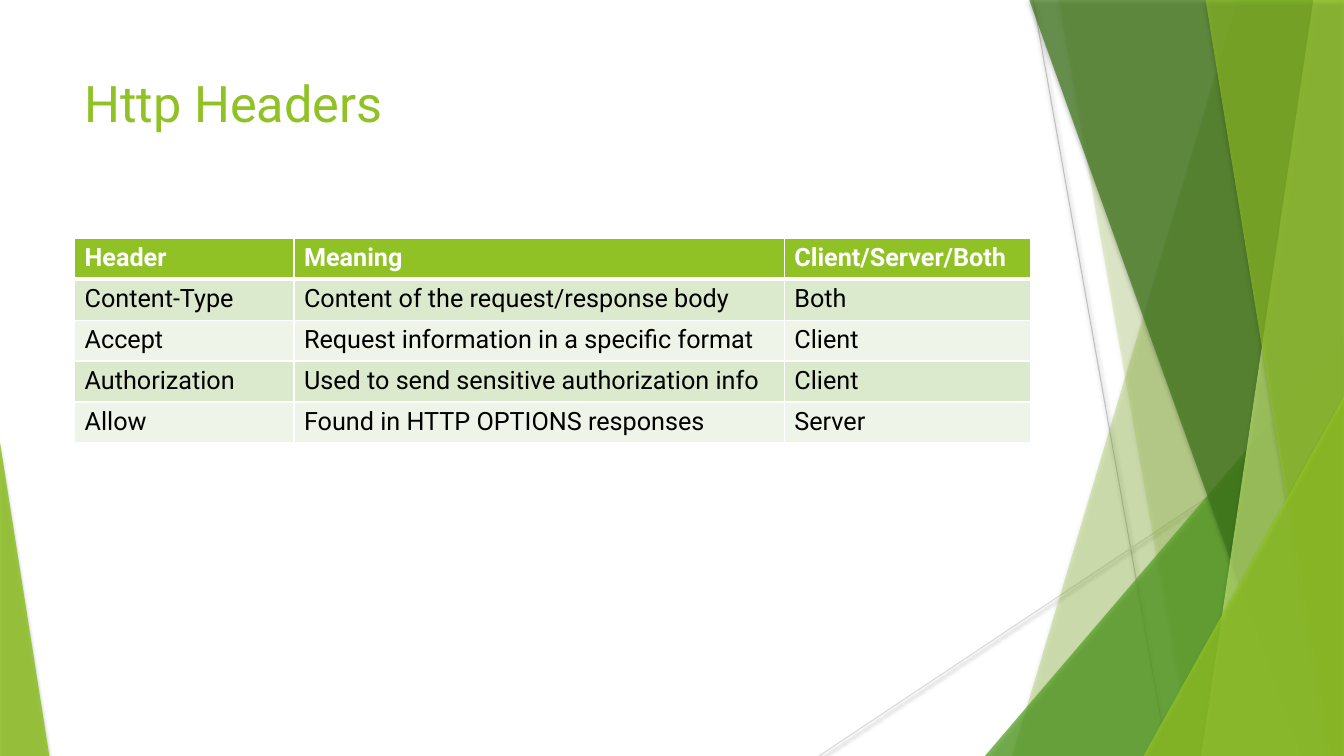
from lxml.etree import SubElement
from pptx import Presentation
from pptx.dml.color import RGBColor
from pptx.enum.shapes import MSO_CONNECTOR, MSO_SHAPE
from pptx.enum.text import MSO_ANCHOR
from pptx.oxml import parse_xml
from pptx.oxml.ns import nsdecls, qn
from pptx.util import Emu, Pt

PX = 9525
WIDE, HIGH = 1280, 720
STRAIGHT = MSO_CONNECTOR.STRAIGHT
TRIANGLE = MSO_SHAPE.ISOSCELES_TRIANGLE
TOP = MSO_ANCHOR.TOP
MIDDLE = MSO_ANCHOR.MIDDLE
FONT = "Roboto"
LIME, WHITE, BLACK = "90C226", "FFFFFF", "000000"
BANDS = ("EEF4E7", "DBE9CC")
COLS = (209, 467, 235)
ROW = 39
ROWS = (
    ("Header", "Meaning", "Client/Server/Both"),
    ("Content-Type", "Content of the request/response body", "Both"),
    ("Accept", "Request information in a specific format", "Client"),
    ("Authorization", "Used to send sensitive authorization info", "Client"),
    ("Allow", "Found in HTTP OPTIONS responses", "Server"),
)


def px(*sizes):
    """Turn pixel lengths into EMU."""
    return [Emu(size * PX) for size in sizes]


def rgb(code):
    """Turn a hex string into a colour."""
    return RGBColor.from_string(code)


def shade(item, alpha, blur, dist):
    """Give a shape or line a soft black shadow that falls downward."""
    props = item._element.spPr
    effects = props.find(qn("a:effectLst"))
    if effects is None:
        effects = SubElement(props, qn("a:effectLst"))
    cast = SubElement(effects, qn("a:outerShdw"), blurRad=str(Pt(blur)),
                      dist=str(Pt(dist)), dir="5400000", rotWithShape="0")
    black = SubElement(cast, qn("a:srgbClr"), val=BLACK)
    SubElement(black, qn("a:alpha"), val=str(alpha * 1000))


def add_line(slide, start, end, color):
    """Draw a thin shadowed line."""
    line = slide.shapes.add_connector(STRAIGHT, *px(*start, *end))
    line.line.color.rgb = rgb(color)
    line.line.width = Pt(0.75)
    shade(line, 38, 3.1, 1.6)


def paint(shape, color, alpha):
    """Fill a shape with a see-through colour and no outline."""
    shape.fill.solid()
    shape.fill.fore_color.rgb = rgb(color)
    tint = shape._element.spPr.find(".//" + qn("a:srgbClr"))
    SubElement(tint, qn("a:alpha"), val=str(alpha * 1000))
    shape.line.fill.background()
    shape.shadow.inherit = False
    shade(shape, 35, 3, 2)


def add_blade(slide, top, foot, color, alpha):
    """Draw a full-height band from a slanted left edge to the slide's right."""
    pen = slide.shapes.build_freeform(top, -1, scale=PX)
    pen.add_line_segments([(WIDE, -1), (WIDE, HIGH), (foot, HIGH)], close=True)
    paint(pen.convert_to_shape(), color, alpha)


def add_wedge(slide, left, top, width, peak, color, alpha):
    """Draw a right triangle that stands on the slide's bottom edge."""
    box = px(left, top, width, HIGH - top)
    wedge = slide.shapes.add_shape(TRIANGLE, *box)
    wedge.adjustments[0] = peak
    paint(wedge, color, alpha)


def style(frame, size, color, bold=False):
    """Format every run of a text frame."""
    for para in frame.paragraphs:
        for run in para.runs:
            font = run.font
            font.name, font.size, font.bold = FONT, Pt(size), bold
            font.color.rgb = rgb(color)


def add_title(slide, text):
    """Place the slide heading."""
    box = slide.shapes.add_textbox(*px(71, 64, 902, 138))
    frame = box.text_frame
    frame.word_wrap = True
    frame.vertical_anchor = TOP
    frame.text = text
    style(frame, 36, LIME)


def edge(cell, row):
    """Rule a cell in white, with a thick line under the header row."""
    thick = {0: "B", 1: "T"}.get(row)
    for spot, side in enumerate("LRTB"):
        width = Pt(3 if side == thick else 0.96)
        rule = parse_xml(
            f'<a:ln{side} {nsdecls("a")} w="{width}"><a:solidFill>'
            f'<a:srgbClr val="{WHITE}"/></a:solidFill></a:ln{side}>')
        cell._tc.get_or_add_tcPr().insert(spot, rule)


def add_grid(slide):
    """Build the banded table of headers."""
    box = px(71, 227, sum(COLS), ROW * len(ROWS))
    grid = slide.shapes.add_table(len(ROWS), len(COLS), *box).table
    for col, width in zip(grid.columns, px(*COLS)):
        col.width = width
    for r, words in enumerate(ROWS):
        grid.rows[r].height = px(ROW)[0]
        head = r == 0
        for c, word in enumerate(words):
            cell = grid.cell(r, c)
            cell.text_frame.text = word
            style(cell.text_frame, 18, WHITE if head else BLACK, head)
            cell.fill.solid()
            cell.fill.fore_color.rgb = rgb(LIME if head else BANDS[r % 2])
            edge(cell, r)


def main():
    """Build and save the slide."""
    deck = Presentation()
    deck.slide_width, deck.slide_height = px(WIDE, HIGH)
    slide = deck.slides.add_slide(deck.slide_layouts[6])
    add_line(slide, (984, 0), (1112, HIGH), "BFBFBF")
    add_line(slide, (WIDE, 387), (780, HIGH), "D9D9D9")
    add_blade(slide, 1179, 964, LIME, 30)
    add_blade(slide, 1008, 1135, LIME, 20)
    add_wedge(slide, 938, 320, 342, 1, "54A021", 72)
    add_blade(slide, 980, 1239, "3F7819", 70)
    add_blade(slide, 1251, 1144, "C0E474", 70)
    add_blade(slide, 1148, 1265, LIME, 65)
    add_wedge(slide, 1089, 377, 191, 1, LIME, 80)
    add_wedge(slide, 0, 421, 47, 0, LIME, 85)
    add_title(slide, "Http Headers")
    add_grid(slide)
    deck.save("out.pptx")


if __name__ == "__main__":
    main()
